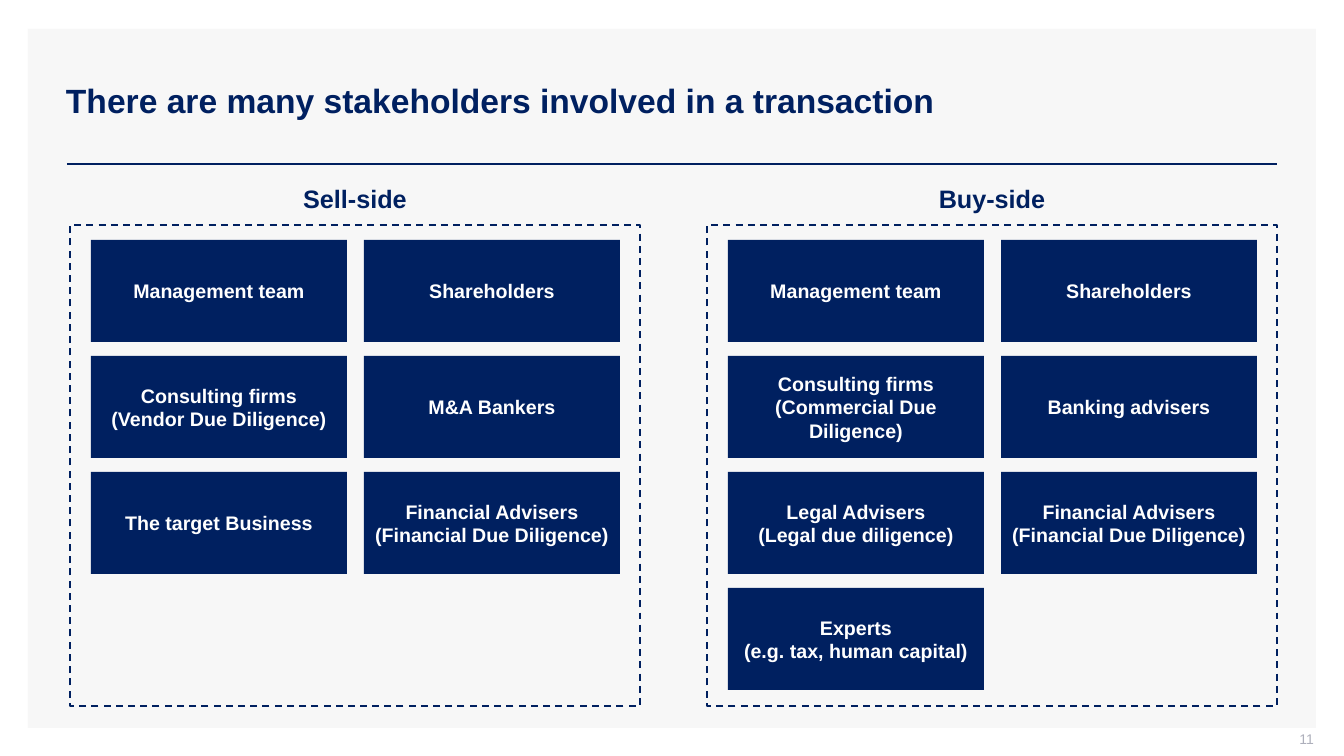
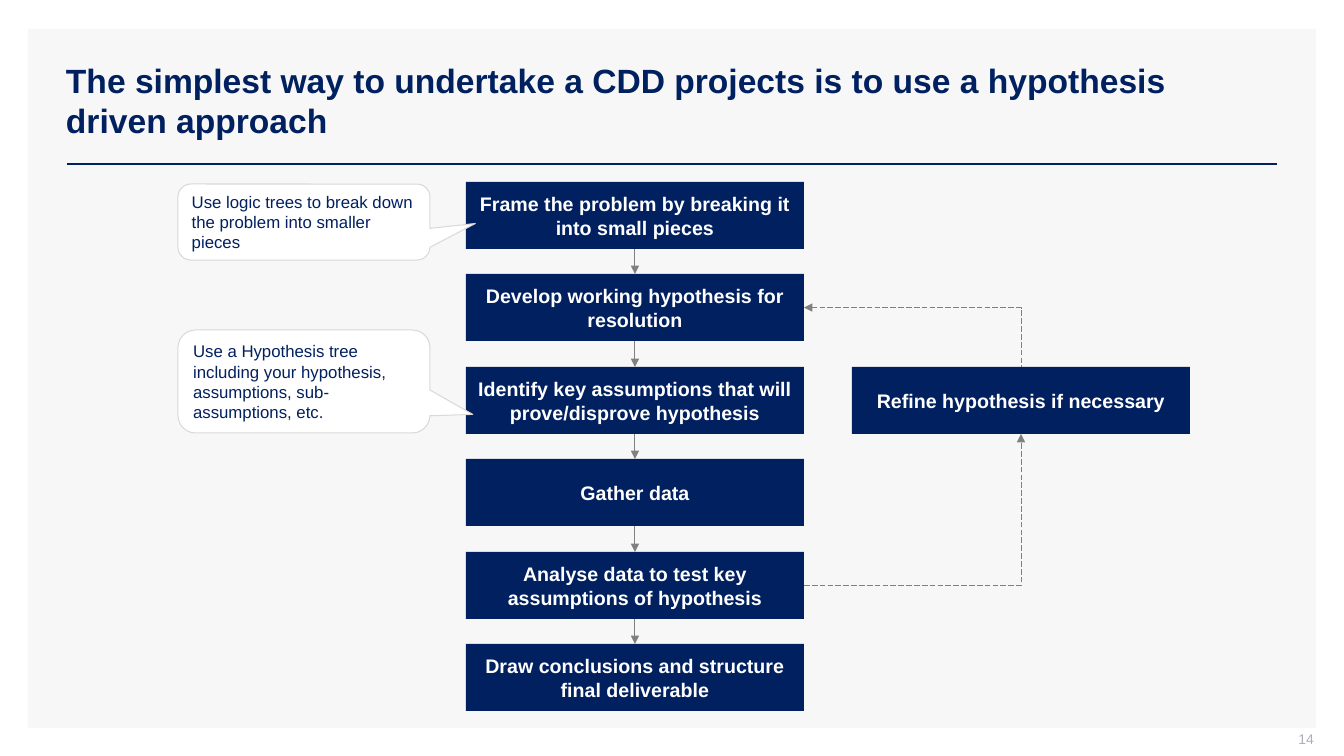
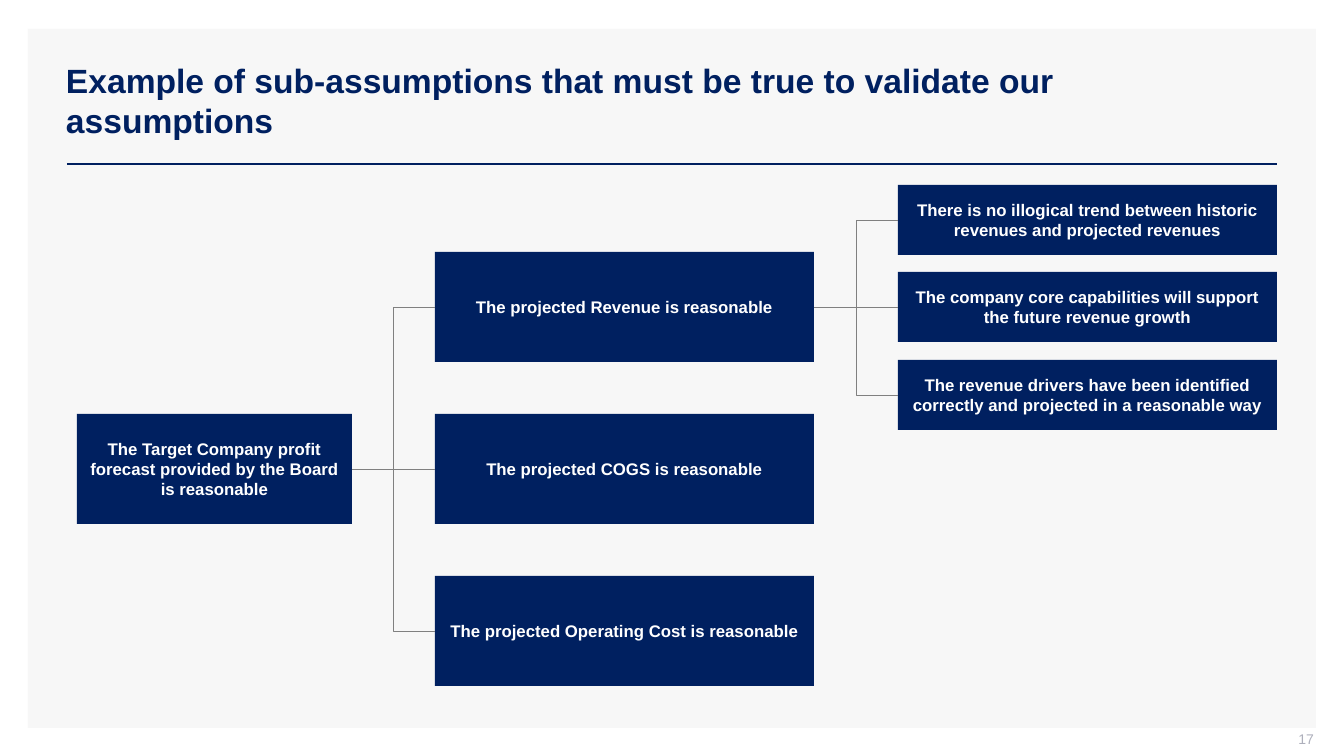
"""Build three slides on the stakeholders and the method of a due diligence."""
from dataclasses import dataclass
from typing import Optional

from pptx import Presentation
from pptx.dml.color import RGBColor
from pptx.enum.dml import MSO_LINE_DASH_STYLE as Dash
from pptx.enum.shapes import MSO_CONNECTOR as ConnectorKind, MSO_SHAPE as ShapeKind
from pptx.enum.text import MSO_ANCHOR as Anchor, MSO_AUTO_SIZE as AutoSize, PP_ALIGN as Align
from pptx.oxml.ns import qn
from pptx.shapes.autoshape import Shape
from pptx.shapes.connector import Connector
from pptx.slide import Slide, SlideLayout
from pptx.text.text import TextFrame
from pptx.util import Pt
from lxml.etree import SubElement

EMU_PER_PX = 914400 / 100.8
FONT = "Arial"
COLORS = {
    "navy": "002060",
    "white": "FFFFFF",
    "panel": "F7F7F7",
    "grey": "808080",
    "pale": "D9D9D9",
    "number": "ADAFBB",
}
TOP, LEFT, BOTTOM, RIGHT = range(4)


@dataclass(frozen=True)
class Box:
    """A rectangle in px."""
    left: int
    top: int
    width: int
    height: int

    def emu(self) -> tuple[int, ...]:
        """Return the four lengths in EMU."""
        return tuple(px(n) for n in (self.left, self.top, self.width, self.height))


@dataclass(frozen=True)
class TextStyle:
    """The look of a text: size in points, margins in px."""
    size: int
    color: str = "white"
    bold: bool = True
    align: Align = Align.CENTER
    anchor: Anchor = Anchor.MIDDLE
    margins: tuple[int, int, int, int] = (10, 5, 10, 5)


@dataclass(frozen=True)
class LineStyle:
    """The look of a line: width in points."""
    color: str
    width: float
    dash: Optional[Dash] = None


@dataclass(frozen=True)
class Side:
    """One side of the transaction with its stakeholders, row by row."""
    name: str
    left: int
    stakeholders: tuple[str, ...]


@dataclass(frozen=True)
class Callout:
    """A speech bubble with its adjustments."""
    box: Box
    adjustments: tuple[float, ...]
    text: str


TITLE_STYLE = TextStyle(24, "navy", align=Align.LEFT)
NUMBER_STYLE = TextStyle(10, "number", False, Align.RIGHT, margins=(10, 0, 0, 5))
HEADING_STYLE = TextStyle(18, "navy", anchor=Anchor.TOP)
STAKEHOLDER_STYLE = TextStyle(14, margins=(5, 5, 5, 5))
STEP_STYLE = TextStyle(14, margins=(10, 10, 10, 10))
NODE_STYLE = TextStyle(12, margins=(10, 7, 10, 7))
CALLOUT_STYLE = TextStyle(12, "navy", False, Align.LEFT)

RULE_LINE = LineStyle("navy", 2)
FRAME_LINE = LineStyle("navy", 1.25, Dash.DASH)
CALLOUT_LINE = LineStyle("pale", 0.75)
ARROW_LINE = LineStyle("grey", 0.75)
LOOP_LINE = LineStyle("grey", 0.5, Dash.LONG_DASH)
TREE_LINE = LineStyle("grey", 0.5)

TITLES = {
    11: "There are many stakeholders involved in a transaction",
    14: "The simplest way to undertake a CDD projects is to use a hypothesis driven approach",
    17: "Example of sub-assumptions that must be true to validate our assumptions",
}
SIDES = (
    Side("Sell-side", 70, (
        "Management team", "Shareholders",
        "Consulting firms\v(Vendor Due Diligence)", "M&A Bankers",
        "The target Business", "Financial Advisers (Financial Due Diligence)",
    )),
    Side("Buy-side", 707, (
        "Management team", "Shareholders",
        "Consulting firms (Commercial Due Diligence)", "Banking advisers",
        "Legal Advisers\v(Legal due diligence)",
        "Financial Advisers (Financial Due Diligence)",
        "Experts\v(e.g. tax, human capital)",
    )),
)
STEPS = (
    "Frame the problem by breaking it into small pieces",
    "Develop working hypothesis for resolution",
    "Identify key assumptions that will\nprove/disprove hypothesis",
    "Gather data",
    "Analyse data to test key\nassumptions of hypothesis",
    "Draw conclusions and structure final deliverable",
)
CALLOUTS = (
    Callout(Box(178, 184, 252, 76), (0.68, 0.02, 0.17),
            "Use logic trees to break down the problem into smaller pieces"),
    Callout(Box(178, 330, 252, 103), (0.67, 0.32, 0.17),
            "Use a Hypothesis tree including your hypothesis, assumptions, "
            "sub-assumptions, etc."),
)
FORECAST = "The Target Company profit forecast provided by the Board is reasonable"
ASSUMPTIONS = (
    "The projected Revenue is reasonable",
    "The projected COGS is reasonable",
    "The projected Operating Cost is reasonable",
)
REVENUE_CONDITIONS = (
    "There is no illogical trend between historic revenues and projected revenues",
    "The company core capabilities will support the future revenue growth",
    "The revenue drivers have been identified correctly and projected in a reasonable way",
)


def px(length: int) -> int:
    """Turn px into EMU."""
    return round(length * EMU_PER_PX)


def rgb(name: str) -> RGBColor:
    """Look up a colour by name."""
    return RGBColor.from_string(COLORS[name])


def spread(first: int, last: int, count: int) -> list[int]:
    """Return evenly spaced positions from first to last."""
    return [round(first + (last - first) * i / (count - 1)) for i in range(count)]


def set_all(target: object, values: dict[str, object]) -> None:
    """Set attributes from a dict."""
    for name, value in values.items():
        setattr(target, name, value)


def write(frame: TextFrame, text: str, style: TextStyle) -> None:
    """Fill a text frame and format it."""
    frame.text = text
    left, top, right, bottom = (px(margin) for margin in style.margins)
    set_all(frame, {
        "word_wrap": True, "auto_size": AutoSize.NONE, "vertical_anchor": style.anchor,
        "margin_left": left, "margin_top": top,
        "margin_right": right, "margin_bottom": bottom,
    })
    for paragraph in frame.paragraphs:
        paragraph.alignment = style.align
        for run in paragraph.runs:
            set_all(run.font, {"name": FONT, "size": Pt(style.size), "bold": style.bold})
            run.font.color.rgb = rgb(style.color)


def draw_line(target: Shape | Connector, style: LineStyle) -> None:
    """Format an outline or a connector."""
    target.line.color.rgb = rgb(style.color)
    set_all(target.line, {"width": Pt(style.width), "dash_style": style.dash})


def add_block(slide: Slide, box: Box, fill: Optional[str] = "navy",
              line: Optional[LineStyle] = None,
              kind: ShapeKind = ShapeKind.RECTANGLE) -> Shape:
    """Add a flat shape."""
    shape = slide.shapes.add_shape(kind, *box.emu())
    shape.shadow.inherit = False
    if fill:
        shape.fill.solid()
        shape.fill.fore_color.rgb = rgb(fill)
    else:
        shape.fill.background()
    if line:
        draw_line(shape, line)
    else:
        shape.line.fill.background()
    return shape


def add_label_block(slide: Slide, box: Box, text: str, style: TextStyle) -> Shape:
    """Add a navy block with a label."""
    shape = add_block(slide, box)
    write(shape.text_frame, text, style)
    return shape


def add_text(slide: Slide, box: Box, text: str, style: TextStyle) -> None:
    """Add a text box."""
    write(slide.shapes.add_textbox(*box.emu()).text_frame, text, style)


def add_line(slide: Slide, style: LineStyle, kind: ConnectorKind = ConnectorKind.STRAIGHT,
             ends: tuple[int, int, int, int] = (0, 0, 0, 0),
             arrow: Optional[str] = None) -> Connector:
    """Add a connector without shadow; arrow is headEnd or tailEnd."""
    connector = slide.shapes.add_connector(kind, *(px(end) for end in ends))
    draw_line(connector, style)
    properties = connector.element.spPr
    if arrow:
        SubElement(properties.find(qn("a:ln")), qn(f"a:{arrow}"), type="triangle")
    SubElement(properties, qn("a:effectLst"))
    return connector


def join(connector: Connector, start: Shape, start_side: int, end: Shape, end_side: int) -> None:
    """Glue a connector to two shapes."""
    connector.begin_connect(start, start_side)
    connector.end_connect(end, end_side)


def add_corner(slide: Slide, start: Shape, end: Shape, end_side: int, arrow: str) -> None:
    """Join the right of one shape to the top or bottom of another with one bend."""
    connector = add_line(slide, LOOP_LINE, ConnectorKind.ELBOW, arrow=arrow)
    connector.element.spPr.find(qn("a:prstGeom")).set("prst", "bentConnector2")
    join(connector, start, RIGHT, end, end_side)


def add_branches(slide: Slide, parent: Shape, children: list[Shape]) -> None:
    """Join a parent to its children, straight to the middle one."""
    for i, child in enumerate(children):
        middle = i == len(children) // 2
        kind = ConnectorKind.STRAIGHT if middle else ConnectorKind.ELBOW
        join(add_line(slide, TREE_LINE, kind), parent, RIGHT, child, LEFT)


def prepare_layout(layout: SlideLayout, slide: Slide) -> None:
    """Place the title and put the shared panel and rule on the layout."""
    for placeholder in list(layout.placeholders):
        if placeholder.placeholder_format.idx:
            placeholder.element.getparent().remove(placeholder.element)
        else:
            names = ("left", "top", "width", "height")
            set_all(placeholder, dict(zip(names, Box(56, 40, 1221, 120).emu())))
    panel = add_block(slide, Box(28, 29, 1288, 699), "panel")
    rule = add_line(slide, RULE_LINE, ends=(67, 164, 1277, 164))
    for position, shape in enumerate((panel, rule), start=2):
        layout.shapes.element.insert(position, shape.element)


def build_stakeholders(slide: Slide) -> None:
    """Draw the two framed grids of stakeholders."""
    for side in SIDES:
        add_block(slide, Box(side.left, 225, 570, 481), None, FRAME_LINE)
        add_text(slide, Box(side.left, 178, 570, 40), side.name, HEADING_STYLE)
        for i, name in enumerate(side.stakeholders):
            row, column = divmod(i, 2)
            box = Box(side.left + 21 + 273 * column, 240 + 116 * row, 256, 102)
            add_label_block(slide, box, name, STAKEHOLDER_STYLE)


def build_process(slide: Slide) -> None:
    """Draw the steps, the refinement loop and the callouts."""
    tops = spread(182, 644, len(STEPS))
    steps = [add_label_block(slide, Box(466, top, 338, 67), text, STEP_STYLE)
             for top, text in zip(tops, STEPS)]
    for upper, lower in zip(steps, steps[1:]):
        join(add_line(slide, ARROW_LINE, arrow="tailEnd"), upper, BOTTOM, lower, TOP)
    refine = add_label_block(slide, Box(852, tops[2], 338, 67),
                             "Refine hypothesis if necessary", STEP_STYLE)
    add_corner(slide, steps[4], refine, BOTTOM, "tailEnd")
    add_corner(slide, steps[1], refine, TOP, "headEnd")
    for callout in CALLOUTS:
        bubble = add_block(slide, callout.box, "white", CALLOUT_LINE,
                           ShapeKind.ROUNDED_RECTANGULAR_CALLOUT)
        for i, value in enumerate(callout.adjustments):
            bubble.adjustments[i] = value
        write(bubble.text_frame, callout.text, CALLOUT_STYLE)


def build_tree(slide: Slide) -> None:
    """Draw the tree of assumptions."""
    forecast = add_label_block(slide, Box(77, 414, 275, 110), FORECAST, NODE_STYLE)
    assumptions = [add_label_block(slide, Box(435, top, 379, 110), text, NODE_STYLE)
                   for top, text in zip(spread(252, 576, 3), ASSUMPTIONS)]
    conditions = [add_label_block(slide, Box(898, top, 379, 70), text, NODE_STYLE)
                  for top, text in zip(spread(185, 360, 3), REVENUE_CONDITIONS)]
    add_branches(slide, forecast, assumptions)
    add_branches(slide, assumptions[0], conditions)


def main() -> None:
    """Build and save the presentation."""
    presentation = Presentation()
    set_all(presentation, {"slide_width": px(1344), "slide_height": px(756)})
    layout = presentation.slide_layouts[5]
    slides = [presentation.slides.add_slide(layout) for _ in TITLES]
    prepare_layout(layout, slides[0])
    builders = (build_stakeholders, build_process, build_tree)
    for slide, (number, title), build in zip(slides, TITLES.items(), builders):
        write(slide.shapes.title.text_frame, title, TITLE_STYLE)
        add_text(slide, Box(1012, 731, 302, 21), str(number), NUMBER_STYLE)
        build(slide)
    presentation.save("out.pptx")


if __name__ == "__main__":
    main()
